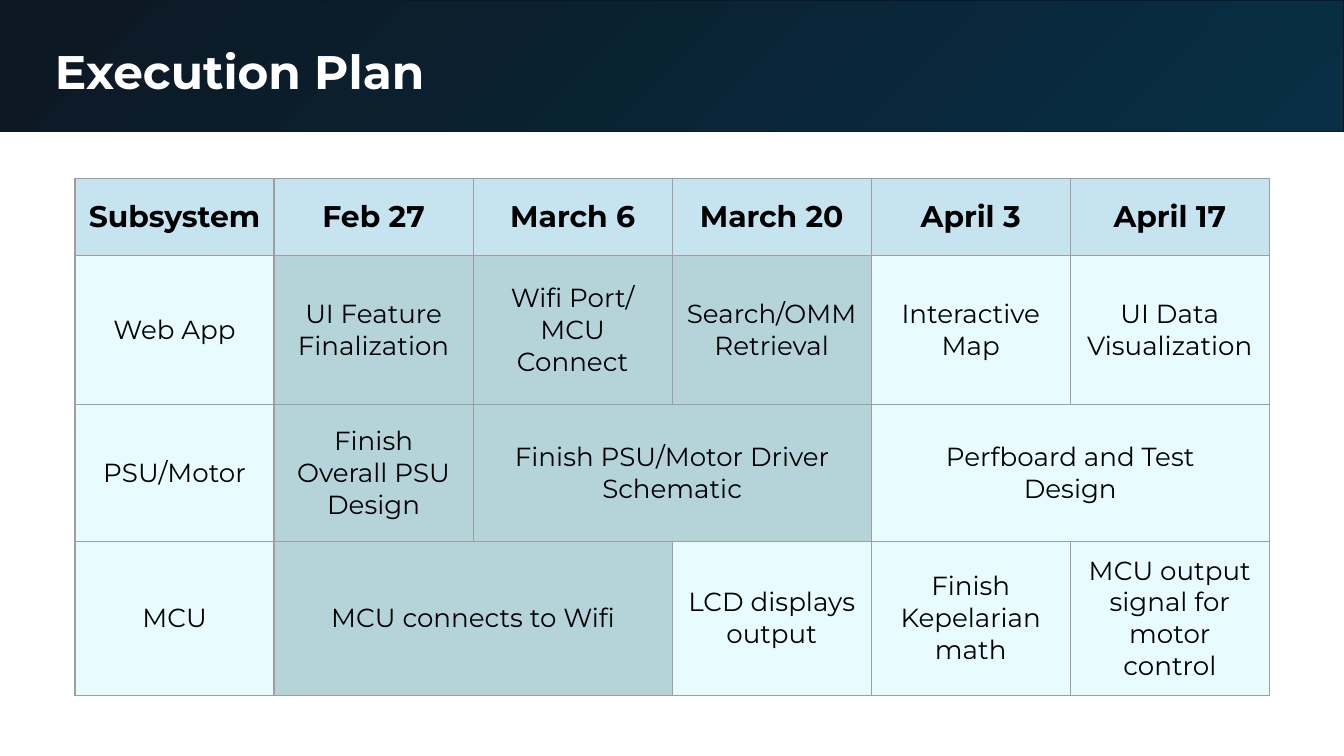
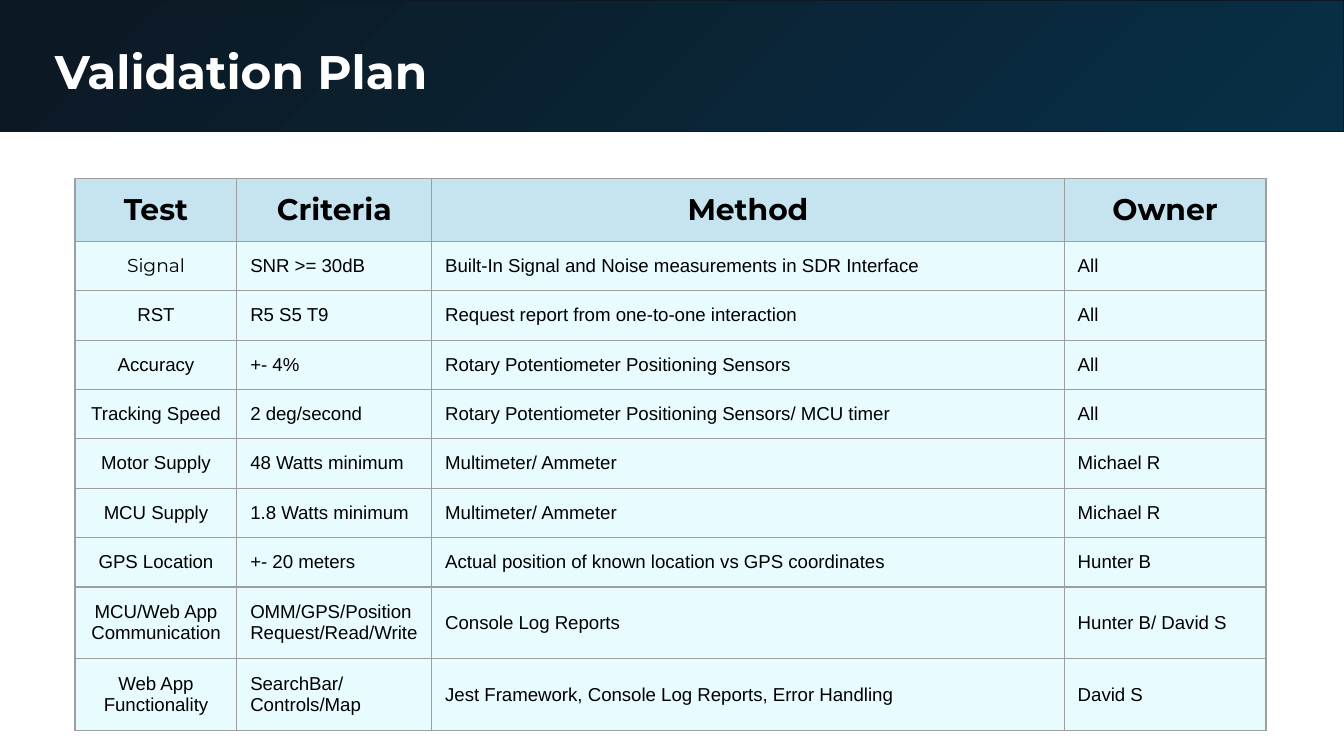
from lxml.etree import SubElement
from pptx import Presentation
from pptx.dml.color import RGBColor
from pptx.enum.shapes import MSO_SHAPE
from pptx.enum.text import MSO_ANCHOR, PP_ALIGN
from pptx.oxml.ns import qn
from pptx.util import Pt

HEX = {
    "night": "0C1823", "sea": "082F46", "white": "FFFFFF", "black": "000000",
    "head": "C6E4F0", "done": "B4D4D9", "open": "E8FCFF", "rule": "9E9E9E",
}
WIDE, HIGH = 720, 405
BAND = (0, 0, WIDE, 70.5)
PAD = 7.2
GRID = (40.2, 95.7)

# Each cell is a text, or a text and the number of columns it covers.
DATES = ["Subsystem", "Feb 27", "March 6", "March 20", "April 3", "April 17"]
# Each task row: number of finished cells, then the cells.
TASKS = [
    (3, ["Web App", "UI Feature Finalization", "Wifi Port/ MCU Connect",
         "Search/OMM Retrieval", "Interactive Map", "UI Data Visualization"]),
    (2, ["PSU/Motor", "Finish Overall PSU Design",
         ("Finish PSU/Motor Driver Schematic", 2),
         ("Perfboard and Test\nDesign", 2)]),
    (1, ["MCU", ("MCU connects to Wifi", 2), "LCD displays output",
         "Finish Kepelarian math", "MCU output signal for motor control"]),
]
TESTS = [
    ["Signal", "SNR >= 30dB",
     "Built-In Signal and Noise measurements in SDR Interface", "All"],
    ["RST", "R5 S5 T9", "Request report from one-to-one interaction", "All"],
    ["Accuracy", "+- 4%", "Rotary Potentiometer Positioning Sensors", "All"],
    ["Tracking Speed", "2 deg/second",
     "Rotary Potentiometer Positioning Sensors/ MCU timer", "All"],
    ["Motor Supply", "48 Watts minimum", "Multimeter/ Ammeter", "Michael R"],
    ["MCU Supply", "1.8 Watts minimum", "Multimeter/ Ammeter", "Michael R"],
    ["GPS Location", "+- 20 meters",
     "Actual position of known location vs GPS coordinates", "Hunter B"],
    ["MCU/Web App Communication", "OMM/GPS/Position\nRequest/Read/Write",
     "Console Log Reports", "Hunter B/ David S"],
    ["Web App Functionality", "SearchBar/Controls/Map",
     "Jest Framework, Console Log Reports, Error Handling", "David S"],
]


def rgb(name):
    return RGBColor.from_string(HEX[name])


def write(frame, text, size=14, face="Montserrat", tone="black", bold=False,
          align=PP_ALIGN.CENTER):
    """Fill a text frame, one paragraph for each line of text."""
    frame.word_wrap = True
    frame.text = text
    for para in frame.paragraphs:
        para.alignment = align
        for run in para.runs:
            font = run.font
            font.name, font.size, font.bold = face, Pt(size), bold
            font.color.rgb = rgb(tone)


def pad(box):
    box.margin_left = box.margin_right = Pt(PAD)
    box.margin_top = box.margin_bottom = Pt(PAD)
    box.vertical_anchor = MSO_ANCHOR.MIDDLE


def glow(shape):
    """Shade a shape radially from its lower right corner."""
    shape.fill.gradient()
    for stop, name in zip(shape.fill.gradient_stops, ("sea", "night")):
        stop.color.rgb = rgb(name)
    grad = shape._element.spPr.find(qn("a:gradFill"))
    grad.remove(grad.find(qn("a:lin")))
    ring = SubElement(grad, qn("a:path"), {"path": "circle"})
    SubElement(ring, qn("a:fillToRect"), {"l": "100000", "t": "100000"})
    SubElement(grad, qn("a:tileRect"), {"r": "-100000", "b": "-100000"})


def banner(slide, title, box):
    left, top, width, height = box
    band = slide.shapes.add_shape(MSO_SHAPE.RECTANGLE, *map(Pt, box))
    band.shadow.inherit = False
    glow(band)
    band.line.color.rgb = rgb("night")
    band.line.width = Pt(0.75)
    label = slide.shapes.add_textbox(
        Pt(left + 22.3), Pt(top + 15.1), Pt(width - 49), Pt(height - 25.1))
    pad(label.text_frame)
    write(label.text_frame, title, size=25.2, tone="white", bold=True,
          align=PP_ALIGN.LEFT)


def border(cell):
    props = cell._tc.get_or_add_tcPr()
    for side in ("lnL", "lnR", "lnT", "lnB"):
        line = SubElement(props, qn(f"a:{side}"), {"w": str(Pt(0.75))})
        fill = SubElement(line, qn("a:solidFill"))
        SubElement(fill, qn("a:srgbClr"), {"val": HEX["rule"]})


def frame(slide, spot, cols, rows):
    """Add an empty ruled table with the given column and row sizes."""
    left, top = spot
    grid = slide.shapes.add_table(
        len(rows), len(cols), Pt(left), Pt(top),
        Pt(sum(cols)), Pt(sum(rows))).table
    grid.first_row = grid.horz_banding = False
    for col, width in zip(grid.columns, cols):
        col.width = Pt(width)
    for row, height in zip(grid.rows, rows):
        row.height = Pt(height)
    for cell in grid.iter_cells():
        border(cell)
        pad(cell)
    return grid


def put(grid, row, col, text, fill, span=1, **form):
    cell = grid.cell(row, col)
    if span > 1:
        cell.merge(grid.cell(row, col + span - 1))
    for step in range(span):
        part = grid.cell(row, col + step)
        part.fill.solid()
        part.fill.fore_color.rgb = rgb(fill)
    write(cell.text_frame, text, **form)


def header(grid, names):
    for col, name in enumerate(names):
        put(grid, 0, col, name, "head", size=16, bold=True)


def schedule(slide, spot):
    grid = frame(slide, spot, [106.65] * len(DATES), [41.2, 79.8, 73.4, 82.4])
    header(grid, DATES)
    for row, (done, cells) in enumerate(TASKS, 1):
        col = 0
        for place, item in enumerate(cells):
            text, span = item if isinstance(item, tuple) else (item, 1)
            fill = "done" if 1 <= place <= done else "open"
            put(grid, row, col, text, fill, span)
            col += span


def checks(slide, spot):
    grid = frame(slide, spot, [86.7, 104.4, 338.9, 108],
                 [31] + [26] * len(TESTS))
    header(grid, ["Test", "Criteria", "Method", "Owner"])
    for row, cells in enumerate(TESTS, 1):
        for col, text in enumerate(cells):
            face = "Montserrat" if (row, col) == (1, 0) else "Arial"
            align = PP_ALIGN.LEFT if col else PP_ALIGN.CENTER
            put(grid, row, col, text, "open", size=10, face=face, align=align)


def main():
    deck = Presentation()
    deck.slide_width, deck.slide_height = Pt(WIDE), Pt(HIGH)
    for title, body in (("Execution Plan", schedule),
                        ("Validation Plan", checks)):
        slide = deck.slides.add_slide(deck.slide_layouts[6])
        banner(slide, title, BAND)
        body(slide, GRID)
    deck.save("out.pptx")


if __name__ == "__main__":
    main()
